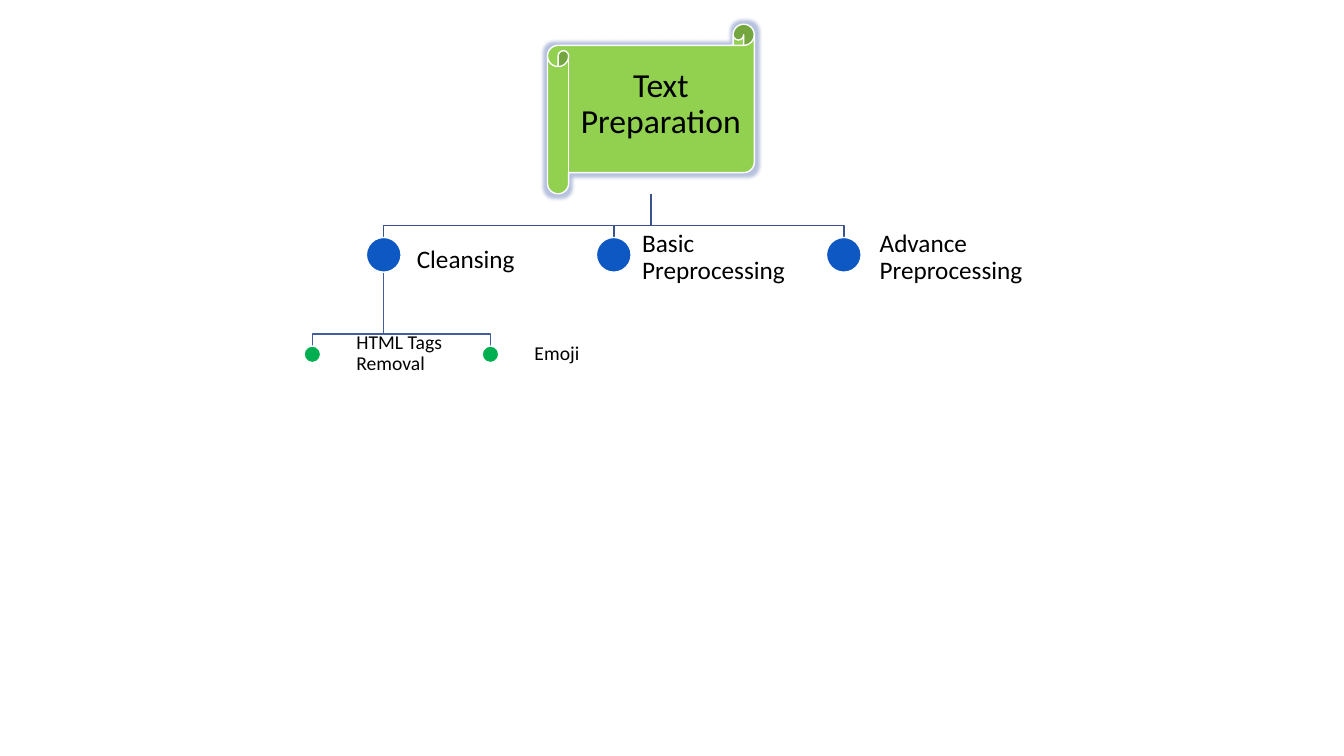
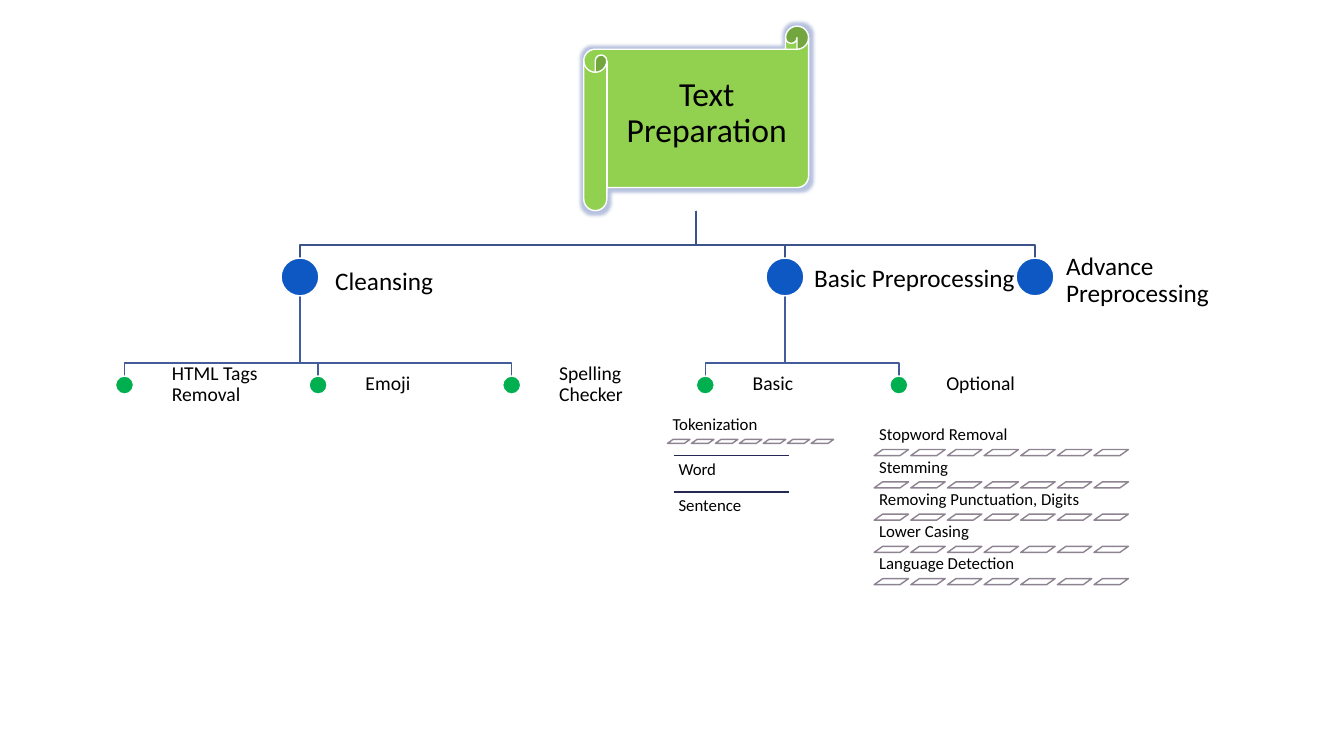
from dataclasses import dataclass

from lxml import etree
from pptx import Presentation
from pptx.dml.color import RGBColor
from pptx.enum.shapes import MSO_CONNECTOR, MSO_SHAPE
from pptx.enum.text import MSO_ANCHOR, MSO_AUTO_SIZE, PP_ALIGN
from pptx.oxml.ns import qn
from pptx.util import Inches, Pt

SCROLL = MSO_SHAPE.HORIZONTAL_SCROLL
DOT = MSO_SHAPE.OVAL
TILE = MSO_SHAPE.PARALLELOGRAM
STRAIGHT = MSO_CONNECTOR.STRAIGHT
TOP, MIDDLE, BOTTOM = MSO_ANCHOR.TOP, MSO_ANCHOR.MIDDLE, MSO_ANCHOR.BOTTOM
LEFT, CENTER = PP_ALIGN.LEFT, PP_ALIGN.CENTER
NO_AUTOFIT = MSO_AUTO_SIZE.NONE
TITLE_ONLY = 5


@dataclass(frozen=True)
class Theme:
    font: str = "Calibri"
    ink: str = "000000"
    paper: str = "FFFFFF"
    scroll: str = "92D050"
    glow: str = "4A66AC"
    branch: str = "0E58C4"
    leaf: str = "00B050"
    branch_line: str = "3B528A"
    leaf_line: str = "435D9C"
    tile_line: str = "8E8391"
    rule: str = "242852"
    root_size: int = 24
    branch_size: int = 18
    leaf_size: int = 14
    item_size: int = 12
    line_width: int = 1


@dataclass(frozen=True)
class Branch:
    label: str
    x: float
    label_dx: float
    label_dy: float = -0.19
    label_width: float = 2.16
    leaves: tuple = ()


THEME = Theme()

SCROLL_WIDTH, SCROLL_HEIGHT = 2.23, 1.83
BRANCH_TOP, BRANCH_DOT = 2.3, 0.375
LEAF_TOP, LEAF_DOT, LEAF_STEP = 3.47, 0.18, 1.92
LABEL_HEIGHT, LEAF_LABEL_WIDTH = 0.81, 1.22
BEND = 0.13
TILE_COUNT = 7
ROW_STEP, SUBITEM_STEP = 0.32, 0.36


def rgb(value):
    return RGBColor.from_string(value)


def write(shape, text, size, inset, anchor=MIDDLE, align=LEFT):
    frame = shape.text_frame
    frame.word_wrap = True
    frame.auto_size = NO_AUTOFIT
    frame.vertical_anchor = anchor
    frame.margin_left = frame.margin_right = Inches(inset)
    frame.margin_top = frame.margin_bottom = Inches(inset)
    paragraph = frame.paragraphs[0]
    paragraph.alignment = align
    paragraph.line_spacing = 0.9
    run = paragraph.add_run()
    run.text = text
    run.font.name = THEME.font
    run.font.size = Pt(size)
    run.font.color.rgb = rgb(THEME.ink)


def add_label(slide, box, text, size, inset, anchor=MIDDLE):
    label = slide.shapes.add_textbox(*map(Inches, box))
    write(label, text, size, inset, anchor)


def add_figure(slide, preset, box, fill, line):
    figure = slide.shapes.add_shape(preset, *map(Inches, box))
    figure.shadow.inherit = False
    figure.fill.solid()
    figure.fill.fore_color.rgb = rgb(fill)
    figure.line.color.rgb = rgb(line)
    figure.line.width = Pt(THEME.line_width)
    return figure


def add_glow(figure, color, radius):
    effects = figure.element.spPr.find(qn("a:effectLst"))
    glow = etree.SubElement(effects, qn("a:glow"), rad=str(int(Pt(radius))))
    tint = etree.SubElement(glow, qn("a:srgbClr"), val=color)
    etree.SubElement(tint, qn("a:alpha"), val="40000")


def add_elbow(slide, start, end, bend, color):
    (x1, y1), (x2, y2) = start, end
    points = [(Inches(x), Inches(y))
              for x, y in ((x1, y1), (x1, y2 - bend), (x2, y2 - bend), (x2, y2))]
    builder = slide.shapes.build_freeform(*points[0])
    builder.add_line_segments(points[1:], close=False)
    elbow = builder.convert_to_shape()
    elbow.shadow.inherit = False
    elbow.fill.background()
    elbow.line.color.rgb = rgb(color)
    elbow.line.width = Pt(THEME.line_width)


def add_root(slide, left, top, scale, text):
    scroll = add_figure(slide, SCROLL,
                        (left, top, SCROLL_WIDTH * scale, SCROLL_HEIGHT * scale),
                        THEME.scroll, THEME.paper)
    add_glow(scroll, THEME.glow, 5)
    title = slide.shapes.title
    title.left, title.top = Inches(left + 0.03), Inches(top + 0.34 * scale)
    title.width, title.height = Inches(2.38 * scale), Inches(1.06 * scale)
    write(title, text, THEME.root_size, 0.1, align=CENTER)
    slide.shapes.element.append(title.element)


def add_node(slide, center, top, diameter, color, label_box, text, size, inset):
    add_figure(slide, DOT, (center - diameter / 2, top, diameter, diameter),
               color, THEME.paper)
    add_label(slide, label_box, text, size, inset)


def add_tree(slide, left, top, scale, root, branches, first_leaf):
    stem = left + SCROLL_WIDTH * scale / 2
    stem_bottom = top + SCROLL_HEIGHT * scale
    branch_top, leaf_top = top + BRANCH_TOP * scale, top + LEAF_TOP * scale
    branch_dot, leaf_dot = BRANCH_DOT * scale, LEAF_DOT * scale
    label_height = LABEL_HEIGHT * scale
    bend = BEND * scale

    leaf_nodes = []
    for branch in branches:
        center = stem + branch.x * scale
        add_elbow(slide, (stem, stem_bottom), (center, branch_top), bend,
                  THEME.branch_line)
        for leaf in branch.leaves:
            x = stem + (first_leaf + len(leaf_nodes) * LEAF_STEP) * scale
            add_elbow(slide, (center, branch_top + branch_dot), (x, leaf_top),
                      bend, THEME.leaf_line)
            leaf_nodes.append((leaf, x))

    add_root(slide, left, top, scale, root)
    for branch in branches:
        center = stem + branch.x * scale
        box = (center + branch.label_dx * scale, branch_top + branch.label_dy * scale,
               branch.label_width * scale, label_height)
        add_node(slide, center, branch_top, branch_dot, THEME.branch,
                 box, branch.label, THEME.branch_size, 0.07)
    for leaf, x in leaf_nodes:
        box = (x + 0.41 * scale, leaf_top - 0.32 * scale,
               LEAF_LABEL_WIDTH * scale, label_height)
        add_node(slide, x, leaf_top, leaf_dot, THEME.leaf,
                 box, leaf, THEME.leaf_size, 0.06)


def add_tiled_list(slide, left, top, width, text_height, items):
    tile_width, tile_height, pitch = width * 0.133, width * 0.0235, width * 0.1414
    for row, item in enumerate(items):
        y = top + row * ROW_STEP
        add_label(slide, (left, y, width, text_height), item,
                  THEME.item_size, 0.05, BOTTOM)
        for column in range(TILE_COUNT):
            tile = add_figure(slide, TILE,
                              (left + column * pitch, y + text_height,
                               tile_width, tile_height),
                              THEME.paper, THEME.tile_line)
            tile.adjustments[0] = 1.41


def add_ruled_list(slide, left, top, width, items):
    for row, item in enumerate(items):
        y = top + row * SUBITEM_STEP
        rule = slide.shapes.add_connector(
            STRAIGHT, *map(Inches, (left, y, left + width, y)))
        rule.line.color.rgb = rgb(THEME.rule)
        rule.line.width = Pt(THEME.line_width)
        etree.SubElement(rule.element.spPr, qn("a:effectLst"))
        add_label(slide, (left, y, width, SUBITEM_STEP), item,
                  THEME.item_size, 0.05, TOP)


def add_overview_slide(deck):
    slide = deck.slides.add_slide(deck.slide_layouts[TITLE_ONLY])
    branches = (
        Branch("Cleansing", -2.88, 0.28, -0.16,
               leaves=("HTML Tags Removal", "Emoji")),
        Branch("Basic Preprocessing", -0.4, 0.23),
        Branch("Advance Preprocessing", 2.08, 0.31),
    )
    add_tree(slide, 5.43, 0.24, 0.92, "Text Preparation", branches, -3.65)


def add_detail_slide(deck):
    slide = deck.slides.add_slide(deck.slide_layouts[TITLE_ONLY])
    branches = (
        Branch("Cleansing", -3.93, 0.28, -0.16,
               leaves=("HTML Tags Removal", "Emoji", "Spelling Checker")),
        Branch("Basic Preprocessing", 0.88, 0.22, leaves=("Basic", "Optional")),
        Branch("Advance Preprocessing", 3.36, 0.24, -0.18, 1.67),
    )
    add_tree(slide, 5.79, 0.26, 1, "Text Preparation", branches, -5.67)
    add_tiled_list(slide, 6.62, 4.21, 1.68, 0.15, ("Tokenization",))
    add_ruled_list(slide, 6.68, 4.52, 1.15, ("Word", "Sentence"))
    add_tiled_list(slide, 8.67, 4.23, 2.57, 0.23, (
        "Stopword Removal", "Stemming", "Removing Punctuation, Digits",
        "Lower Casing", "Language Detection"))


def main():
    deck = Presentation()
    deck.slide_width, deck.slide_height = Inches(13.33), Inches(7.5)
    add_overview_slide(deck)
    add_detail_slide(deck)
    deck.save("out.pptx")


if __name__ == "__main__":
    main()
